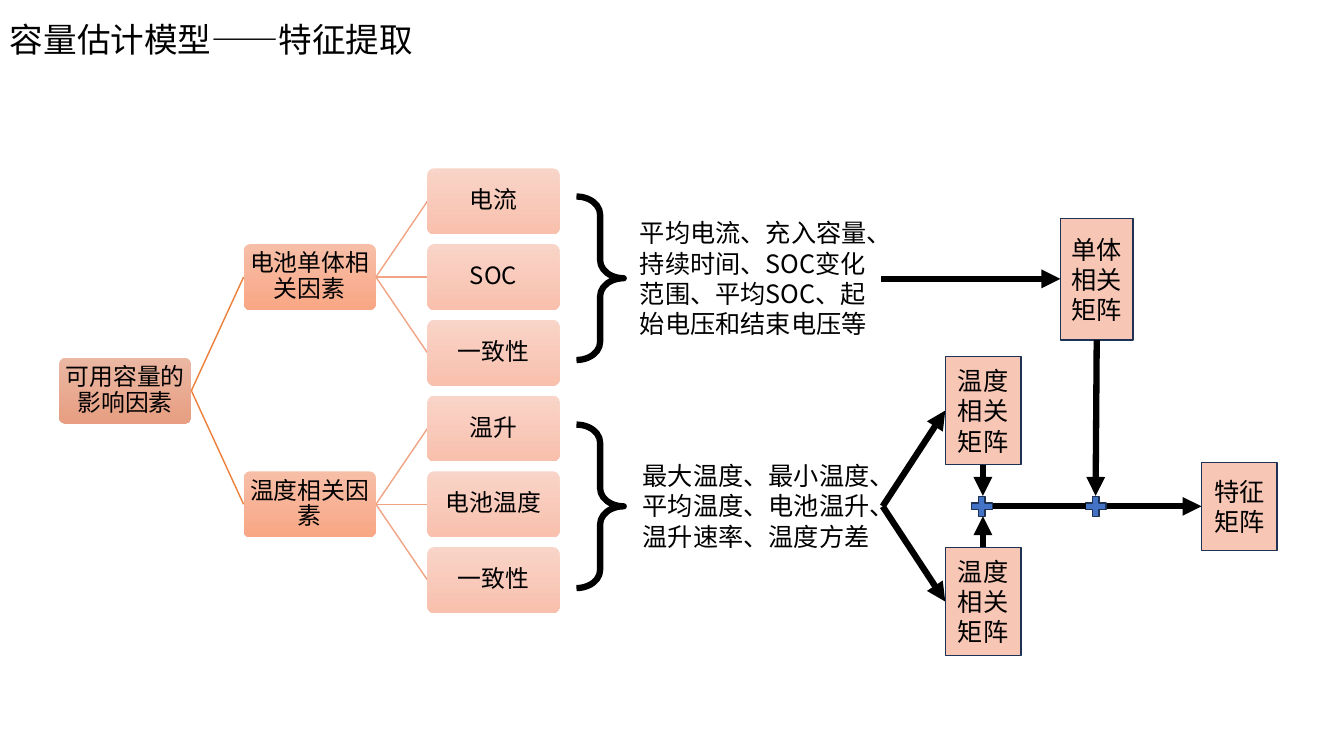
"""Build the feature extraction slide of the capacity estimation model."""
import pptx
import pptx.dml.color
import pptx.enum.shapes
import pptx.enum.text
import pptx.oxml.ns
import pptx.util
from lxml import etree

Pt = pptx.util.Pt
RGBColor = pptx.dml.color.RGBColor
SHAPES = pptx.enum.shapes.MSO_SHAPE
CENTER = pptx.enum.text.PP_ALIGN.CENTER
MIDDLE = pptx.enum.text.MSO_ANCHOR.MIDDLE
FONT = "Noto Sans CJK SC"

BLACK = RGBColor(0x00, 0x00, 0x00)
NAVY = RGBColor(0x1E, 0x32, 0x56)
BLUE = RGBColor(0x44, 0x72, 0xC4)
SALMON = RGBColor(0xF8, 0xC6, 0xB5)
ROOT_LINK = RGBColor(0xED, 0x7F, 0x39)
LEAF_LINK = RGBColor(0xF1, 0xA3, 0x83)
ROOT_FILL = (RGBColor(0xEA, 0xB7, 0xA3), RGBColor(0xE7, 0x9E, 0x81))
BRANCH_FILL = (RGBColor(0xF7, 0xBE, 0xA7), RGBColor(0xF8, 0xA7, 0x85))
LEAF_FILL = (RGBColor(0xF9, 0xD4, 0xC8), RGBColor(0xF8, 0xC0, 0xAD))

NODE_WIDTH, NODE_HEIGHT = 94.5, 47
ROOT_LEFT, BRANCH_LEFT, LEAF_LEFT = 42.2, 174, 305.3
FIRST_LEAF_MIDDLE, LEAF_STEP = 143.8, 54.1
FACTORS = (
    ("电池单体相关因素", ("电流", "SOC", "一致性")),
    ("温度相关因素", ("温升", "电池温度", "一致性")),
)
MERGE_Y = 361.7
MATRICES = (
    ("温度相关矩阵", 675.2, 254.7, 54, 77.3),
    ("温度相关矩阵", 675.2, 391, 54, 77.3),
    ("单体相关矩阵", 757.4, 156, 52, 87),
    ("特征矩阵", 858.2, 330.3, 54, 62.8),
)
ARROWS = (
    (630.5, MERGE_Y, 675.2, 293.3),
    (630.5, MERGE_Y, 675.2, 429.7),
    (629.3, 199.2, 757.4, 199.2),
    (783.4, 243, 782.6, 354.2),
    (702.1, 332, 702.1, 354.2),
    (702.1, 391, 702.1, 368.8),
    (790.6, MERGE_Y, 858.2, MERGE_Y),
)


def add_words(paragraph, words, size):
    """Add one run with the slide's font for Latin and Chinese letters."""
    run = paragraph.add_run()
    run.text = words
    run.font.size = Pt(size)
    run.font.name = FONT
    run.font.color.rgb = BLACK
    properties = run.font._element
    etree.SubElement(properties, pptx.oxml.ns.qn("a:ea"), typeface=FONT)


def add_note(slide, words, left, top, width, height, size, wrap=True):
    """Add a text box that grows with its text."""
    note = slide.shapes.add_textbox(Pt(left), Pt(top), Pt(width), Pt(height))
    frame = note.text_frame
    frame.word_wrap = wrap
    frame.auto_size = pptx.enum.text.MSO_AUTO_SIZE.SHAPE_TO_FIT_TEXT
    add_words(frame.paragraphs[0], words, size)


def add_figure(slide, kind, left, top, width, height):
    """Add a preset shape without shadow."""
    figure = slide.shapes.add_shape(kind, Pt(left), Pt(top), Pt(width), Pt(height))
    figure.shadow.inherit = False
    return figure


def add_label(figure, words, size):
    """Write centred words in a shape and return their paragraph."""
    frame = figure.text_frame
    frame.word_wrap = True
    frame.vertical_anchor = MIDDLE
    paragraph = frame.paragraphs[0]
    paragraph.alignment = CENTER
    add_words(paragraph, words, size)
    return paragraph


def add_solid(slide, kind, fill, left, top, width, height):
    """Add a filled shape with a thin navy outline."""
    solid = add_figure(slide, kind, left, top, width, height)
    solid.fill.solid()
    solid.fill.fore_color.rgb = fill
    solid.line.color.rgb = NAVY
    solid.line.width = Pt(1)
    return solid


def add_node(slide, words, left, middle, shades):
    """Add a rounded tree node with a downward gradient."""
    node = add_figure(slide, SHAPES.ROUNDED_RECTANGLE, left,
                      middle - NODE_HEIGHT / 2, NODE_WIDTH, NODE_HEIGHT)
    node.adjustments[0] = 0.1
    node.fill.gradient()
    node.fill.gradient_angle = 270
    for stop, shade in zip(node.fill.gradient_stops, shades):
        stop.color.rgb = shade
    node.line.fill.background()
    frame = node.text_frame
    frame.margin_left = frame.margin_right = Pt(2.1)
    frame.margin_top = frame.margin_bottom = Pt(2.1)
    add_label(node, words, 17).line_spacing = 0.9


def add_line(slide, ends, color=BLACK, width=4.5, arrow=False):
    """Add a straight connector, with an arrowhead if asked."""
    line = slide.shapes.add_connector(
        pptx.enum.shapes.MSO_CONNECTOR.STRAIGHT, *(Pt(end) for end in ends))
    line.line.color.rgb = color
    line.line.width = Pt(width)
    qn = pptx.oxml.ns.qn
    if arrow:
        etree.SubElement(line.line._get_or_add_ln(), qn("a:tailEnd"), type="triangle")
    etree.SubElement(line._element.spPr, qn("a:effectLst"))


def add_brace(slide, top):
    """Add a brace that gathers three leaves."""
    brace = add_figure(slide, SHAPES.RIGHT_BRACE, 411.8, top, 33.8, 116.8)
    brace.adjustments[0] = 0.381
    brace.fill.background()
    brace.line.color.rgb = BLACK
    brace.line.width = Pt(4.5)


def add_factor_tree(slide):
    """Draw the tree of factors from root to leaves."""
    root_middle = FIRST_LEAF_MIDDLE + 2.5 * LEAF_STEP
    root_right = ROOT_LEFT + NODE_WIDTH
    branch_right = BRANCH_LEFT + NODE_WIDTH
    add_node(slide, "可用容量的影响因素", ROOT_LEFT, root_middle, ROOT_FILL)
    for group, (factor, leaves) in enumerate(FACTORS):
        first = FIRST_LEAF_MIDDLE + 3 * group * LEAF_STEP
        middle = first + LEAF_STEP
        add_line(slide, (root_right, root_middle, BRANCH_LEFT, middle), ROOT_LINK, 1)
        add_node(slide, factor, BRANCH_LEFT, middle, BRANCH_FILL)
        for row, leaf in enumerate(leaves):
            leaf_middle = first + row * LEAF_STEP
            add_line(slide, (branch_right, middle, LEAF_LEFT, leaf_middle), LEAF_LINK, 1)
            add_node(slide, leaf, LEAF_LEFT, leaf_middle, LEAF_FILL)


def main():
    """Build and save the slide."""
    deck = pptx.Presentation()
    deck.slide_width, deck.slide_height = Pt(960), Pt(540)
    slide = deck.slides.add_slide(deck.slide_layouts[6])
    add_note(slide, "容量估计模型——特征提取", 0, 10.1, 305.3, 36, 24, wrap=False)
    add_factor_tree(slide)
    for top in (140.4, 303.3):
        add_brace(slide, top)
    add_note(slide, "平均电流、充入容量、持续时间、SOC变化范围、平均SOC、起始电压和结束电压等",
             450, 152, 179.3, 94.3, 18)
    add_note(slide, "最大温度、最小温度、平均温度、电池温升、温升速率、温度方差",
             452, 325.4, 179.3, 72.7, 18)
    for words, *place in MATRICES:
        matrix = add_solid(slide, SHAPES.RECTANGLE, SALMON, *place)
        add_label(matrix, words, 18)
    for left in (691.2, 772.6):
        add_solid(slide, SHAPES.MATH_PLUS, BLUE, left, 352, 20.2, 19.4)
    add_line(slide, (709.2, MERGE_Y, 775.4, MERGE_Y))
    for ends in ARROWS:
        add_line(slide, ends, arrow=True)
    deck.save("out.pptx")


if __name__ == "__main__":
    main()
